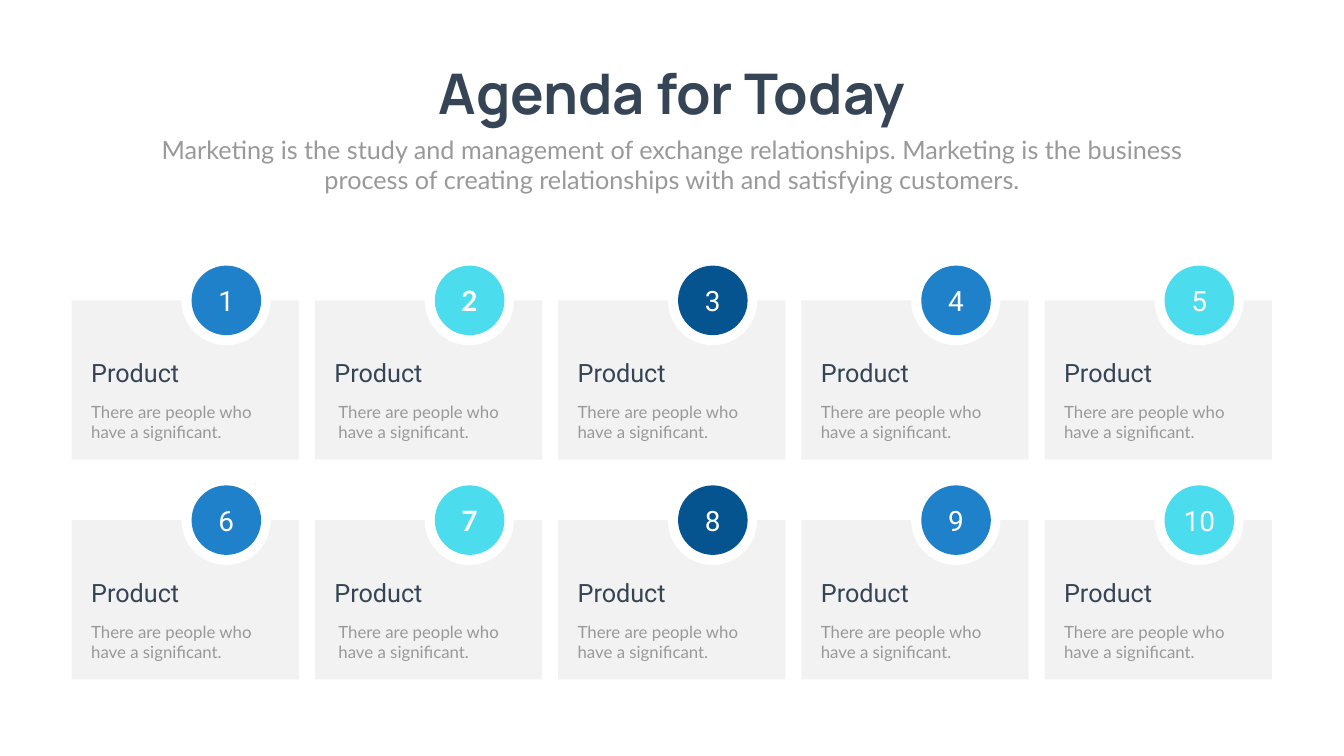
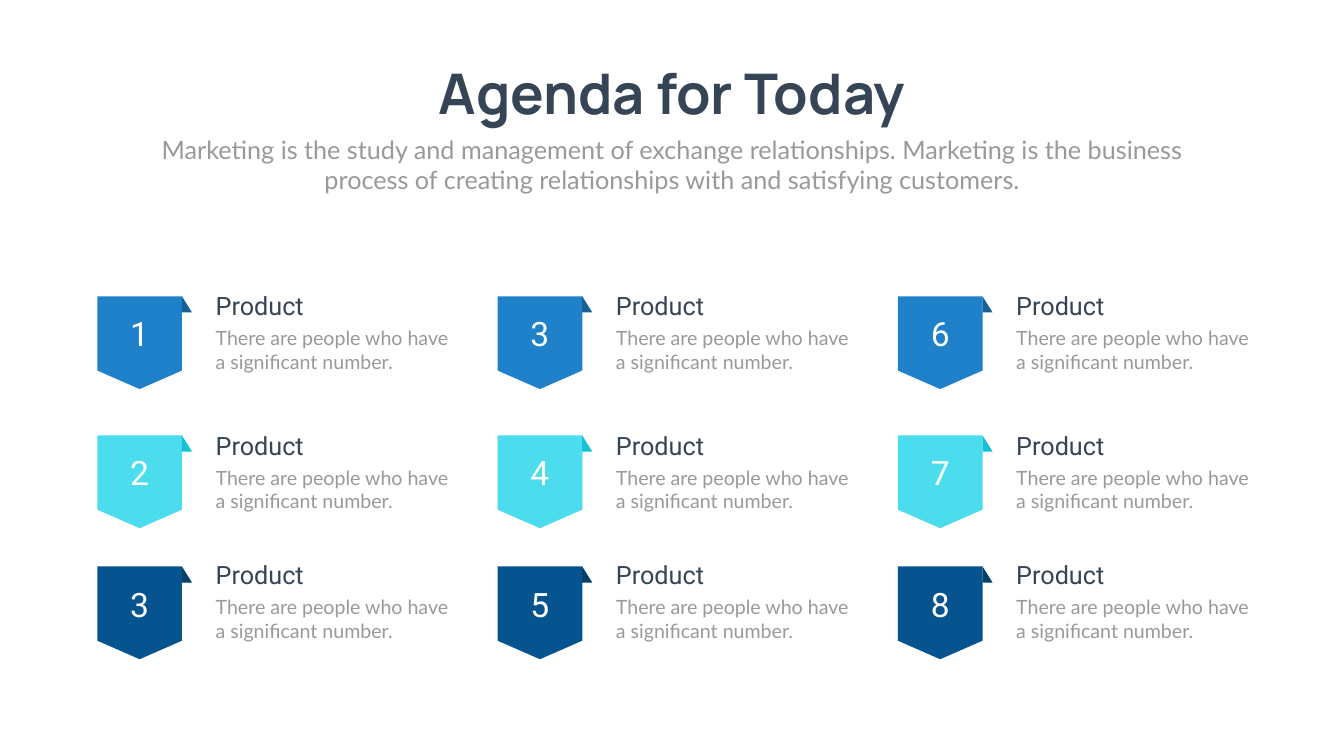
from pptx import Presentation
from pptx.dml.color import RGBColor as RGB
from pptx.enum.shapes import MSO_SHAPE as SHAPE
from pptx.enum.text import MSO_ANCHOR as ANCHOR, MSO_AUTO_SIZE as FIT, PP_ALIGN as ALIGN
from pptx.util import Inches, Pt

# Colours and fonts
WHITE = RGB(0xFF, 0xFF, 0xFF)
INK = RGB(0x36, 0x45, 0x56)
GREY = RGB(0x99, 0x99, 0x99)
PALE = RGB(0xF2, 0xF2, 0xF2)
BLUE = RGB(0x1E, 0x81, 0xCA)
CYAN = RGB(0x4B, 0xDC, 0xED)
NAVY = RGB(0x06, 0x54, 0x8F)
BLUE_FOLD = RGB(0x17, 0x61, 0x98)
CYAN_FOLD = RGB(0x15, 0xC1, 0xD5)
NAVY_FOLD = RGB(0x05, 0x3F, 0x6B)
HEAD, BODY, LABEL = "Manrope", "Lato", "Roboto"

# Shared wording
TITLE = "Agenda for Today"
INTRO = ("Marketing is the study and management of exchange relationships. "
         "Marketing is the business process of creating relationships with "
         "and satisfying customers.")
ITEM = "Product"


def add_text(shapes, box, text, size, font, color, align=ALIGN.LEFT, bold=False, wrap=True):
    frame = shapes.add_textbox(*map(Inches, box)).text_frame
    frame.word_wrap = wrap
    frame.auto_size = FIT.SHAPE_TO_FIT_TEXT
    para = frame.paragraphs[0]
    para.text, para.alignment = text, align
    para.font.size, para.font.name, para.font.bold = Pt(size), font, bold
    para.font.color.rgb = color


def add_form(shapes, kind, box, fill, text="", size=40, font=LABEL, bold=False):
    form = shapes.add_shape(kind, *map(Inches, box))
    form.shadow.inherit = False
    form.fill.solid()
    form.fill.fore_color.rgb = fill
    form.line.fill.background()
    if text:
        form.text_frame.vertical_anchor = ANCHOR.MIDDLE
        para = form.text_frame.paragraphs[0]
        para.text, para.alignment = text, ALIGN.CENTER
        para.font.size, para.font.name, para.font.bold = Pt(size), font, bold
        para.font.color.rgb = WHITE


deck = Presentation()
deck.slide_width, deck.slide_height = Inches(26.66), Inches(15)

# Both slides: title and intro
pages = []
for _ in range(2):
    shapes = deck.slides.add_slide(deck.slide_layouts[6]).shapes
    add_text(shapes, (8.12, 1.12, 10.42, 1.45), TITLE, 80, HEAD, INK, ALIGN.CENTER, True, False)
    add_text(shapes, (2.92, 2.61, 20.82, 1.31), INTRO, 36, BODY, GREY, ALIGN.CENTER)
    pages.append(shapes)
cards, flags = pages

# Slide 1: two rows of five numbered cards
STEP = (20.72 - 1.42) / 4
FILLS = [BLUE, CYAN, NAVY, BLUE, CYAN]
for row in range(2):
    top = 5.96 + 4.36 * row
    for col, fill in enumerate(FILLS):
        left = 1.42 + STEP * col
        second = col == 1  # bold Lato number and a slightly indented note
        add_form(cards, SHAPE.RECTANGLE, (left, top, 4.51, 3.16), PALE)
        add_form(cards, SHAPE.OVAL, (left + 2.18, top - 0.88, 1.77, 1.77), WHITE)
        add_form(cards, SHAPE.OVAL, (left + 2.38, top - 0.69, 1.38, 1.38), fill,
                 str(5 * row + col + 1), font=BODY if second else LABEL, bold=second)
        add_text(cards, (left + (0.37 if second else 0.29), top + 1.96, 3.94, 0.91),
                 "There are people who have a significant.", 24, BODY, GREY)
        add_text(cards, (left + 0.29, top + 1.08, 3.54, 0.71), ITEM, 36, LABEL, INK)

# Slide 2: three columns of numbered flags
ROWS = [  # flag top, text top, flag fill, fold fill
    (5.88, 5.71, BLUE, BLUE_FOLD),
    (8.64, 8.48, CYAN, CYAN_FOLD),
    (11.24, 11.05, NAVY, NAVY_FOLD),
]
for col, first in enumerate([1, 3, 6]):
    left = 1.93 + 7.94 * col
    for row, (top, head, fill, fold) in enumerate(ROWS):
        add_form(flags, SHAPE.FLOWCHART_OFFPAGE_CONNECTOR, (left, top, 1.68, 1.84),
                 fill, str(first + row), 48)
        add_form(flags, SHAPE.RIGHT_TRIANGLE, (left + 1.68, top, 0.2, 0.32), fold)
        pair = flags.add_group_shape().shapes
        add_text(pair, (left + 2.25, head, 3.93, 0.71), ITEM, 36, LABEL, INK)
        add_text(pair, (left + 2.25, head + 0.71, 4.96, 1.04),
                 "There are people who have a significant number.", 28, BODY, GREY)

deck.save("out.pptx")
